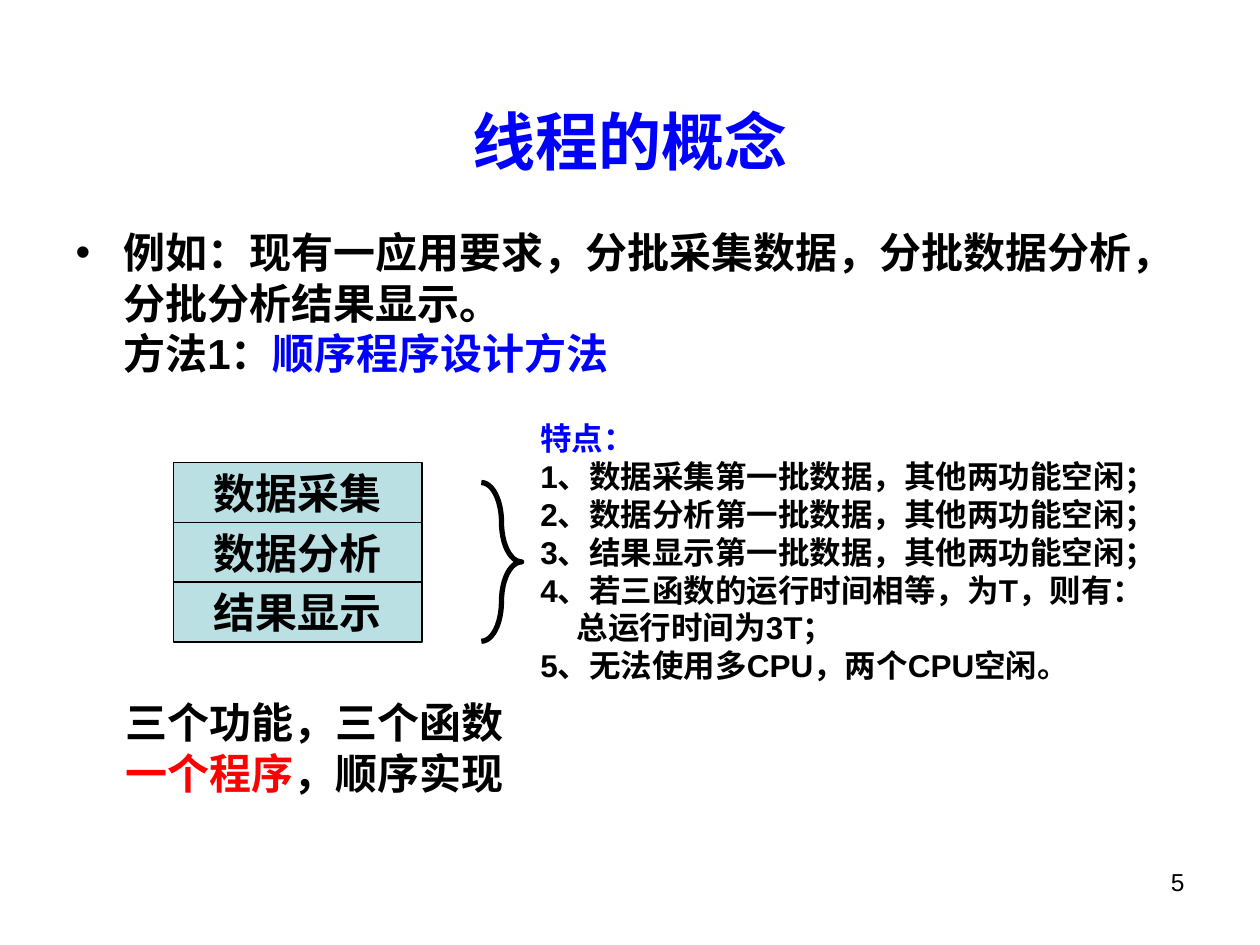
from copy import deepcopy
from dataclasses import dataclass

from pptx import Presentation
from pptx.dml.color import RGBColor
from pptx.enum.shapes import MSO_SHAPE as Shape
from pptx.enum.text import MSO_ANCHOR as Anchor, MSO_AUTO_SIZE as AutoSize, PP_ALIGN as Align
from pptx.util import Inches, Pt


@dataclass(frozen=True)
class Theme:
    font: str = "Arial"
    ink: RGBColor = RGBColor(0, 0, 0)
    blue: RGBColor = RGBColor(0, 0, 255)
    red: RGBColor = RGBColor(255, 0, 0)
    step_fill: RGBColor = RGBColor(0xBB, 0xE0, 0xE3)
    title_size: int = 36
    body_size: int = 24
    detail_size: int = 18
    number_size: int = 14


THEME = Theme()


@dataclass(frozen=True)
class Span:
    text: str
    color: RGBColor = THEME.ink


@dataclass(frozen=True)
class Line:
    spans: tuple[Span, ...]
    indent: float = 0
    hanging: float = 0


@dataclass(frozen=True)
class Box:
    left: float
    top: float
    width: float
    height: float

    def lengths(self) -> tuple:
        return tuple(Inches(v) for v in (self.left, self.top, self.width, self.height))


def line(text: str, color: RGBColor = THEME.ink, indent: float = 0) -> Line:
    return Line((Span(text, color),), indent)


def write_span(paragraph, span: Span, size: int, bold: bool) -> None:
    """Add the span's runs; a newline becomes a line break of the same size."""
    for index, part in enumerate(span.text.split("\n")):
        if index:
            paragraph.add_line_break()
            paragraph._p[-1].append(deepcopy(run._r.rPr))
        if not part:
            continue
        run = paragraph.add_run()
        run.text = part
        look = {"name": THEME.font, "size": Pt(size), "bold": bold}
        for name, value in look.items():
            setattr(run.font, name, value)
        run.font.color.rgb = span.color


def write(frame, lines: list[Line], size: int, align: Align = Align.LEFT, bold: bool = True) -> None:
    for index, content in enumerate(lines):
        paragraph = frame.paragraphs[0] if index == 0 else frame.add_paragraph()
        properties = paragraph._p.get_or_add_pPr()
        if content.indent:
            properties.set("marL", str(Inches(content.indent)))
            properties.set("indent", str(-Inches(content.hanging)))
        for name, value in {"alignment": align, "space_before": Pt(0)}.items():
            setattr(paragraph, name, value)
        for span in content.spans:
            write_span(paragraph, span, size, bold)


def fill_placeholder(holder, box: Box, anchor: Anchor, lines: list[Line], size: int, align: Align) -> None:
    places = zip(("left", "top", "width", "height"), box.lengths())
    for name, value in places:
        setattr(holder, name, value)
    holder.text_frame.auto_size = AutoSize.NONE
    holder.text_frame.vertical_anchor = anchor
    write(holder.text_frame, lines, size, align)


def add_text(slide, box: Box, lines: list[Line], size: int, wrap: bool = True, **style) -> None:
    frame = slide.shapes.add_textbox(*box.lengths()).text_frame
    frame.word_wrap = wrap
    frame.auto_size = AutoSize.NONE if wrap else AutoSize.SHAPE_TO_FIT_TEXT
    write(frame, lines, size, **style)


def add_step(slide, box: Box, label: str) -> None:
    step = slide.shapes.add_shape(Shape.RECTANGLE, *box.lengths())
    step.shadow.inherit = False
    step.fill.solid()
    step.fill.fore_color.rgb = THEME.step_fill
    step.line.color.rgb = THEME.ink
    step.line.width = Pt(0.75)
    step.text_frame.word_wrap = False
    step.text_frame.vertical_anchor = Anchor.MIDDLE
    write(step.text_frame, [line(label)], THEME.body_size, Align.CENTER)


def add_brace(slide, box: Box) -> None:
    brace = slide.shapes.add_shape(Shape.RIGHT_BRACE, *box.lengths())
    brace.adjustments[0] = box.height / 4 / box.width
    brace.shadow.inherit = False
    brace.fill.background()
    brace.line.color.rgb = THEME.ink
    brace.line.width = Pt(3)


def main() -> None:
    deck = Presentation()
    deck.slide_width, deck.slide_height = Inches(10), Inches(7.5)
    slide = deck.slides.add_slide(deck.slide_layouts[1])
    title, body = slide.placeholders

    fill_placeholder(title, Box(0.5, 0.68, 9, 0.87), Anchor.MIDDLE,
                     [line("线程的概念", THEME.blue)], THEME.title_size, Align.CENTER)
    example = Line((
        Span("例如：现有一应用要求，分批采集数据，分批数据分析，分批分析结果显示。\n方法1："),
        Span("顺序程序设计方法", THEME.blue),
    ), indent=0.38, hanging=0.38)
    fill_placeholder(body, Box(0.5, 1.75, 9, 5.07), Anchor.TOP,
                     [example], THEME.body_size, Align.LEFT)

    step_height = 0.475
    for row, label in enumerate(("数据采集", "数据分析", "结果显示")):
        add_step(slide, Box(1.38, 3.67 + row * step_height, 1.97, step_height), label)
    add_brace(slide, Box(3.82, 3.83, 0.32, 1.26))

    summary = [
        line("三个功能，三个函数"),
        Line((Span("一个程序", THEME.red), Span("，顺序实现"))),
    ]
    add_text(slide, Box(0.9, 5.48, 3.53, 0.9), summary, THEME.body_size)

    busy_steps = ("数据采集", "数据分析", "结果显示")
    features = [
        line("特点：", THEME.blue),
        *(line(f"{number}、{step}第一批数据，其他两功能空闲；")
          for number, step in enumerate(busy_steps, 1)),
        line("4、若三函数的运行时间相等，为T，则有："),
        line("总运行时间为3T；", indent=0.29),
        line("5、无法使用多CPU，两个CPU空闲。"),
    ]
    add_text(slide, Box(4.19, 3.28, 5.17, 2.2), features, THEME.detail_size, wrap=False)
    add_text(slide, Box(7.17, 6.83, 2.33, 0.52), [line("5")], THEME.number_size,
             align=Align.RIGHT, bold=False)

    deck.save("out.pptx")


if __name__ == "__main__":
    main()
